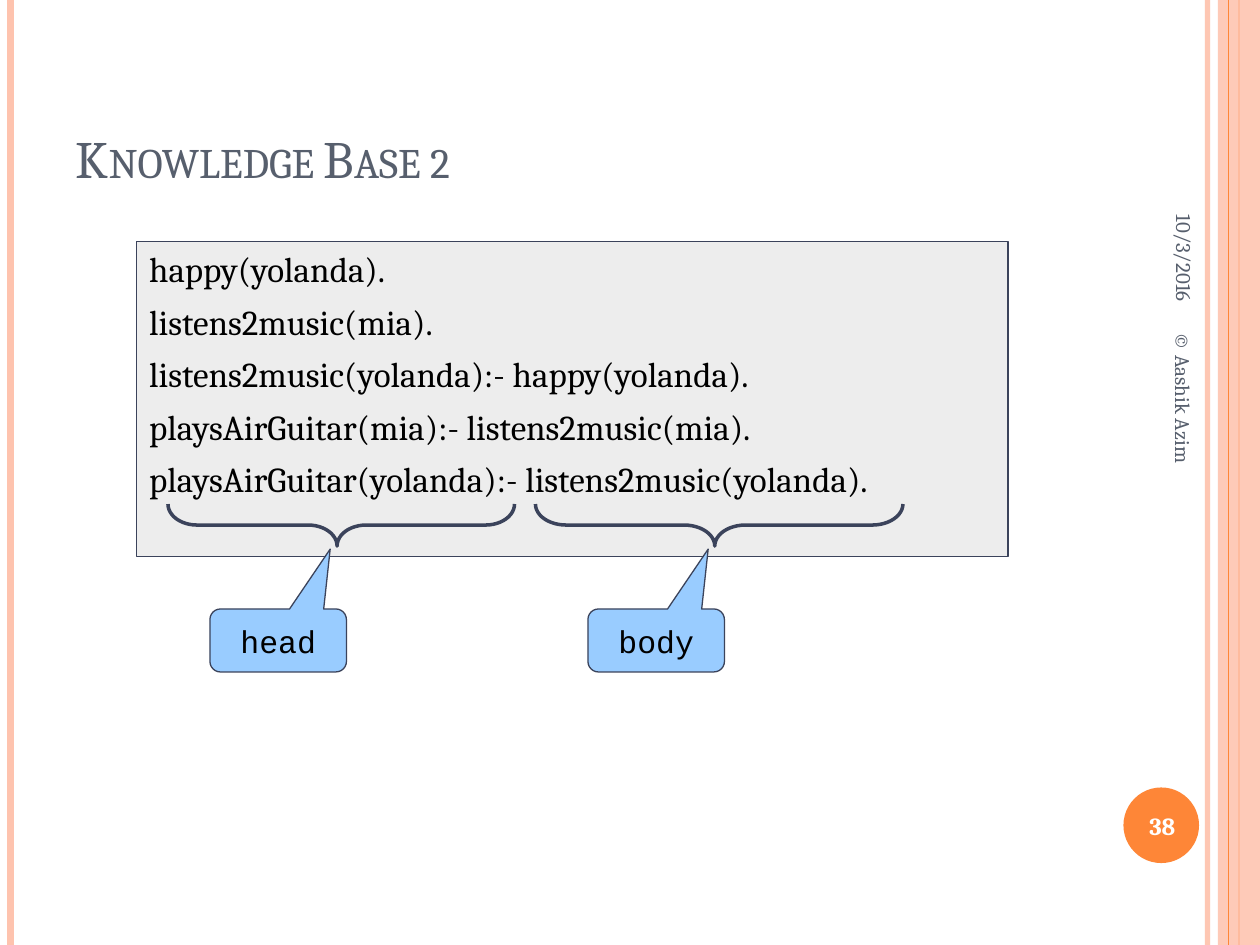
from dataclasses import dataclass

from pptx import Presentation
from pptx.dml.color import RGBColor
from pptx.enum.shapes import MSO_CONNECTOR as Connector
from pptx.enum.shapes import MSO_SHAPE as Shape
from pptx.enum.text import MSO_ANCHOR as Anchor
from pptx.enum.text import MSO_AUTO_SIZE as AutoSize
from pptx.enum.text import PP_ALIGN as Align
from pptx.oxml.ns import qn
from pptx.util import Inches, Pt

COLUMNS, ROWS = 120, 90
CELL = Inches(10) / COLUMNS


@dataclass(frozen=True)
class Theme:
    serif: str = "Cambria"
    mono: str = "Courier New"
    peach: str = "FEC3AE"
    orange: str = "FE8637"
    slate: str = "575F6D"
    navy: str = "3B435B"
    panel: str = "DDDDDD"
    callout: str = "99CCFF"
    black: str = "000000"
    white: str = "FFFFFF"
    title_size: int = 30
    code_size: int = 20
    label_size: int = 18
    number_size: int = 14
    footer_size: int = 12


THEME = Theme()

FACTS_AND_RULES = [
    "happy(yolanda).",
    "listens2music(mia).",
    "listens2music(yolanda):- happy(yolanda).",
    "playsAirGuitar(mia):- listens2music(mia).",
    "playsAirGuitar(yolanda):- listens2music(yolanda).",
]


def grid(*cells):
    return [round(CELL * cell) for cell in cells]


def rgb(color):
    return RGBColor.from_string(color)


def set_opacity(shape, percent):
    """Make the shape's first own colour partly transparent."""
    color = shape._element.xpath("./p:spPr//a:srgbClr")[0]
    color.makeelement(qn("a:alpha"), {})
    alpha = color.makeelement(qn("a:alpha"), {"val": str(percent * 1000)})
    color.append(alpha)


def paint(shape, fill=None, line=None, weight=0.75):
    if fill:
        shape.fill.solid()
        shape.fill.fore_color.rgb = rgb(fill)
    else:
        shape.fill.background()
    if line:
        shape.line.color.rgb = rgb(line)
        shape.line.width = Pt(weight)
    else:
        shape.line.fill.background()


def add_run(paragraph, text, size, color, face=THEME.serif, bold=False):
    run = paragraph.add_run()
    run.text = text
    run.font.name, run.font.size = face, Pt(size)
    run.font.color.rgb = rgb(color)
    run.font.bold = bold
    return run


def add_preset(slide, preset, box, adjustments=(), **paint_options):
    shape = slide.shapes.add_shape(preset, *grid(*box))
    shape.shadow.inherit = False
    for index, value in enumerate(adjustments):
        shape.adjustments[index] = value
    paint(shape, **paint_options)
    return shape


def add_stripe(slide, column, color, weight, opacity=100):
    stripe = slide.shapes.add_connector(
        Connector.STRAIGHT, *grid(column, 0, column, ROWS))
    stripe.line.color.rgb = rgb(color)
    stripe.line.width = Pt(weight)
    properties = stripe._element.spPr
    properties.append(properties.makeelement(qn("a:effectLst"), {}))
    if opacity < 100:
        set_opacity(stripe, opacity)


def add_margins(slide):
    add_stripe(slide, 115, THEME.peach, 3, opacity=93)
    add_stripe(slide, 1, THEME.peach, 4.5)
    add_stripe(slide, 118, THEME.orange, 1.5)
    band = add_preset(slide, Shape.RECTANGLE, (116, 0, 4, ROWS), fill=THEME.peach)
    set_opacity(band, 87)
    add_stripe(slide, 117, THEME.orange, 0.75)
    add_preset(slide, Shape.OVAL, (107, 75, 7.2, 7.2), fill=THEME.orange)


def place(placeholder, box, anchor):
    placeholder.left, placeholder.top, placeholder.width, placeholder.height = grid(*box)
    frame = placeholder.text_frame
    frame.auto_size = AutoSize.NONE
    frame.vertical_anchor = anchor
    return frame


def fill_title(title, text):
    heading = place(title, (6, 3.6, 98, 15), Anchor.BOTTOM).paragraphs[0]
    heading.alignment = Align.LEFT
    run = add_run(heading, text, THEME.title_size, THEME.slate)
    run.font._element.set("cap", "small")


def fill_code(body, lines):
    frame = place(body, (13, 23, 83, 30), Anchor.TOP)
    paint(body, THEME.panel, THEME.navy)
    set_opacity(body, 50)
    for index, line in enumerate(lines):
        paragraph = frame.add_paragraph() if index else frame.paragraphs[0]
        properties = paragraph._p.get_or_add_pPr()
        properties.set("marL", str(Inches(0.3)))
        properties.set("indent", str(-Inches(0.3)))
        properties.append(properties.makeelement(qn("a:buNone"), {}))
        paragraph.space_before = Pt(6 if index else 0)
        add_run(paragraph, line, THEME.code_size, THEME.black)


def add_clause_part(slide, label, start, end, bend, callout_column):
    """Brace the columns from start to end and name them in a callout."""
    length, depth, middle_row = end - start, 4, 50
    brace = add_preset(
        slide, Shape.LEFT_BRACE,
        ((start + end - depth) / 2, middle_row - length / 2, depth, length),
        (bend, 0.488), line=THEME.navy, weight=2)
    brace.rotation = 270
    callout = add_preset(
        slide, Shape.ROUNDED_RECTANGULAR_CALLOUT, (callout_column, 58, 13, 6),
        (0.381, -1.451, 0.167), fill=THEME.callout, line=THEME.navy)
    callout.text_frame.vertical_anchor = Anchor.MIDDLE
    paragraph = callout.text_frame.paragraphs[0]
    paragraph.alignment = Align.CENTER
    add_run(paragraph, label, THEME.label_size, THEME.black, THEME.mono)


def add_label(slide, text, center, size, align, font_size, color, bold=False, rotation=0):
    (x, y), (width, height) = center, size
    label = slide.shapes.add_textbox(*grid(x - width / 2, y - height / 2, width, height))
    label.rotation = rotation
    frame = label.text_frame
    frame.word_wrap = True
    frame.vertical_anchor = Anchor.MIDDLE
    frame.paragraphs[0].alignment = align
    add_run(frame.paragraphs[0], text, font_size, color, bold=bold)


def main():
    deck = Presentation()
    deck.slide_width, deck.slide_height = grid(COLUMNS, ROWS)
    slide = deck.slides.add_slide(deck.slide_layouts[1])

    add_margins(slide)
    fill_title(slide.shapes.title, "Knowledge Base 2")
    fill_code(slide.placeholders[1], FACTS_AND_RULES)
    add_clause_part(slide, "head", 16, 49, 0.688, callout_column=20)
    add_clause_part(slide, "body", 51, 86, 0.729, callout_column=56)

    add_label(slide, "© Aashik Azim", (112.7, 51.5), (42, 4.8), Align.LEFT,
              THEME.footer_size, THEME.slate, rotation=90)
    add_label(slide, "10/3/2016", (112.8, 16.7), (26.4, 5), Align.RIGHT,
              THEME.footer_size, THEME.slate, rotation=90)
    add_label(slide, "38", (110.7, 78.6), (8, 6.8), Align.CENTER,
              THEME.number_size, THEME.white, bold=True)

    # The margin decoration belongs behind the title and the code panel.
    tree = slide.shapes._spTree
    decoration = list(slide.shapes)[2:8]
    for offset, shape in enumerate(decoration):
        tree.insert(2 + offset, shape._element)

    deck.save("out.pptx")


if __name__ == "__main__":
    main()
